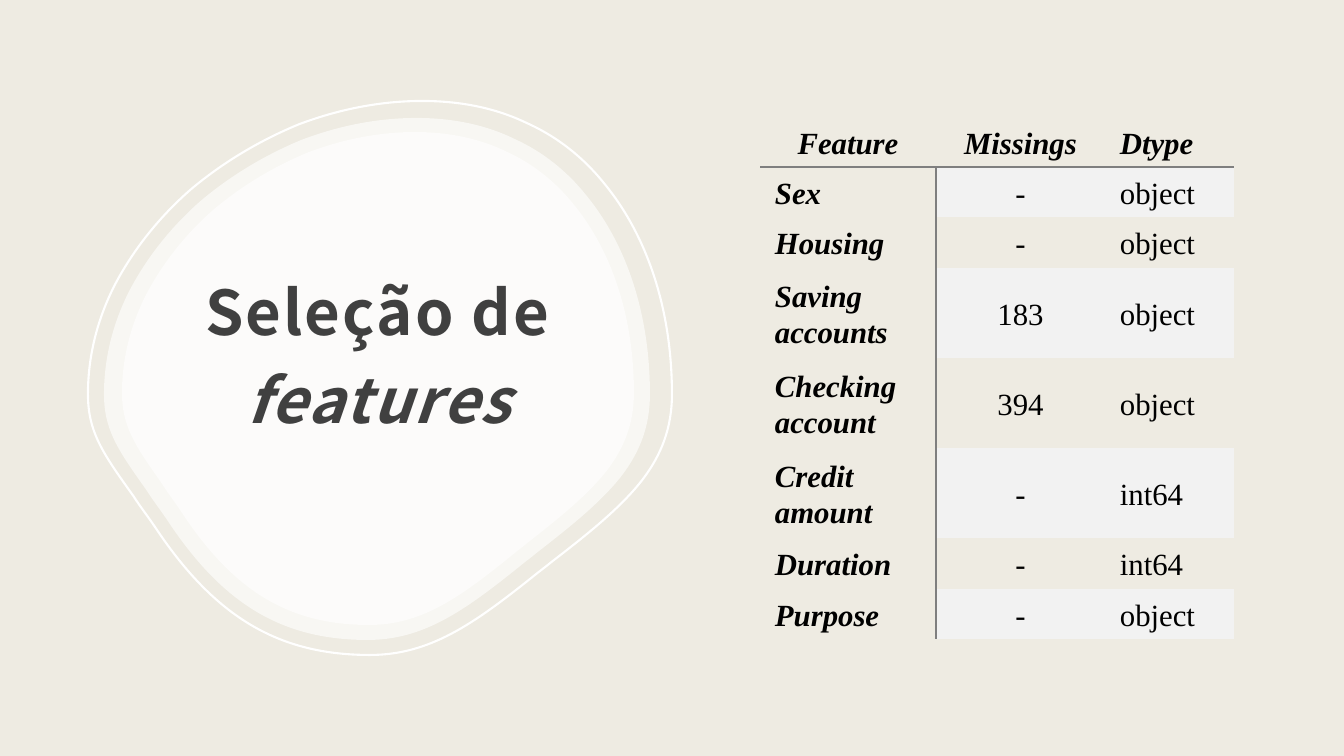
import lxml.etree
import pptx
import pptx.dml.color
import pptx.enum.shapes
import pptx.enum.text
import pptx.oxml
import pptx.oxml.ns
import pptx.util

RGB = pptx.dml.color.RGBColor
ALIGN = pptx.enum.text.PP_ALIGN
ANCHOR = pptx.enum.text.MSO_ANCHOR
qn = pptx.oxml.ns.qn

SAND = RGB(0xEE, 0xEB, 0xE2)
WHITE = RGB(0xFF, 0xFF, 0xFF)
CHARCOAL = RGB(0x40, 0x40, 0x40)
BLACK = RGB(0x00, 0x00, 0x00)
BAND = RGB(0xF2, 0xF2, 0xF2)
RULE = RGB(0x7F, 0x7F, 0x7F)

SLIDE_W, SLIDE_H = 1344, 756
EMU_PER_PX = 12192000 / SLIDE_W
PLAIN_TABLE_STYLE = "{2D5ABB26-0587-4C30-8999-92F81FD0307C}"

# Pebble outline on a 580 x 550 grid: a start, then Bezier curves
PEBBLE_W, PEBBLE_H = 580, 550
PEBBLE_START = (332, 0)
PEBBLE_CURVES = [
    ((370, 0), (405, 7), (436, 22)),
    ((465, 35), (491, 55), (512, 81)),
    ((556, 134), (580, 208), (580, 291)),
    ((580, 324), (570, 351), (550, 377)),
    ((528, 405), (495, 431), (460, 458)),
    ((454, 463), (447, 468), (441, 473)),
    ((382, 520), (339, 550), (280, 550)),
    ((190, 550), (127, 513), (68, 425)),
    ((60, 413), (52, 403), (45, 392)),
    ((15, 350), (0, 329), (0, 291)),
    ((0, 254), (9, 217), (27, 182)),
    ((45, 148), (70, 116), (102, 88)),
    ((134, 61), (171, 39), (210, 23)),
    ((250, 8), (291, 0), (332, 0)),
]

COLUMN_WIDTHS = [176, 169, 129]
ROW_HEIGHTS = [50, 50, 51, 90, 90, 90, 51, 50]
FEATURES = [
    ("Feature", "Missings", "Dtype"),
    ("Sex", "-", "object"),
    ("Housing", "-", "object"),
    ("Saving accounts", "183", "object"),
    ("Checking account", "394", "object"),
    ("Credit amount", "-", "int64"),
    ("Duration", "-", "int64"),
    ("Purpose", "-", "object"),
]


def px(length):
    return pptx.util.Emu(round(length * EMU_PER_PX))


def add_text(paragraph, text, *, size, font, color, bold=False, italic=False,
             align=ALIGN.LEFT, line_spacing=1.0, space_after=0, tracking=0):
    """Append a formatted run; tracking is in points."""
    paragraph.alignment = align
    paragraph.line_spacing = line_spacing
    paragraph.space_after = pptx.util.Pt(space_after)
    run = paragraph.add_run()
    run.text = text
    run.font.size = pptx.util.Pt(size)
    run.font.name = font
    run.font.color.rgb = color
    run.font.bold = bold
    run.font.italic = italic
    if tracking:
        run.font._element.set("spc", str(round(tracking * 100)))


def set_insets(target, left, top, right, bottom):
    target.margin_left, target.margin_top = px(left), px(top)
    target.margin_right, target.margin_bottom = px(right), px(bottom)


def add_backdrop(slide, width, height):
    backdrop = slide.shapes.add_shape(
        pptx.enum.shapes.MSO_SHAPE.RECTANGLE, 0, 0, px(width), px(height))
    backdrop.shadow.inherit = False
    backdrop.fill.solid()
    backdrop.fill.fore_color.rgb = SAND
    backdrop.line.fill.background()


def bend_segments(freeform):
    """Turn each straight segment of the pebble into its Bezier curve."""
    segments = list(freeform._element.iter(qn("a:lnTo")))
    for segment, (first, second, _) in zip(segments, PEBBLE_CURVES):
        segment.tag = qn("a:cubicBezTo")
        for position, (x, y) in enumerate((first, second)):
            control = lxml.etree.SubElement(segment, qn("a:pt"))
            control.set("x", str(x))
            control.set("y", str(y))
            segment.insert(position, control)


def add_pebble(slide, left, top, width, height, outlined=False):
    """Draw the pebble as a white outline or as a translucent white fill."""
    scale = (px(width) / PEBBLE_W, px(height) / PEBBLE_H)
    builder = slide.shapes.build_freeform(*PEBBLE_START, scale=scale)
    builder.add_line_segments([end for _, _, end in PEBBLE_CURVES], close=True)
    pebble = builder.convert_to_shape(px(left), px(top))
    bend_segments(pebble)
    pebble.shadow.inherit = False
    if outlined:
        pebble.fill.background()
        pebble.line.color.rgb = WHITE
        pebble.line.width = pptx.util.Pt(1.5)
    else:
        pebble.fill.solid()
        pebble.fill.fore_color.rgb = WHITE
        pebble.line.fill.background()
        white = pebble._element.spPr.find(qn("a:solidFill"))[0]
        lxml.etree.SubElement(white, qn("a:alpha")).set("val", "60000")


def add_title_panel(slide, left, top, width, height):
    add_pebble(slide, left + 16, top + 17, width - 38, height - 32)
    add_pebble(slide, left, top, width, height, outlined=True)
    add_pebble(slide, left + 34, top + 31, width - 72, height - 61)

    title = slide.shapes.add_textbox(
        px(left + 58), px(top + 85), px(465), px(260)).text_frame
    title.word_wrap = True
    title.vertical_anchor = ANCHOR.BOTTOM
    set_insets(title, 12, 12, 12, 10)
    for text, italic in (("Seleção de ", False), ("features", True)):
        add_text(title.paragraphs[0], text, size=44, font="Noto Sans CJK JP",
                 color=CHARCOAL, bold=True, italic=italic, align=ALIGN.CENTER,
                 line_spacing=1.2, tracking=1.5)


def add_borders(cell, ruled):
    """Rule the named sides (L, R, T, B) and clear the others."""
    properties = cell._tc.get_or_add_tcPr()
    for side in "LRTB":
        line = lxml.etree.SubElement(properties, qn(f"a:ln{side}"))
        if side in ruled:
            line.set("w", str(pptx.util.Pt(1)))
            fill = lxml.etree.SubElement(line, qn("a:solidFill"))
            lxml.etree.SubElement(fill, qn("a:srgbClr")).set("val", str(RULE))
        else:
            lxml.etree.SubElement(line, qn("a:noFill"))


def cell_borders(row, column):
    if row == 0:
        return "B"
    return ("R", "L", "")[column] + ("T" if row == 1 else "")


def add_feature_table(slide, left, top):
    table = slide.shapes.add_table(
        len(FEATURES), len(COLUMN_WIDTHS), px(left), px(top),
        px(sum(COLUMN_WIDTHS)), px(sum(ROW_HEIGHTS))).table
    table.first_row = table.horz_banding = False
    table._tbl.tblPr.find(qn("a:tableStyleId")).text = PLAIN_TABLE_STYLE
    for column, width in zip(table.columns, COLUMN_WIDTHS):
        column.width = px(width)

    for r, (values, height) in enumerate(zip(FEATURES, ROW_HEIGHTS)):
        table.rows[r].height = px(height)
        for c, value in enumerate(values):
            cell = table.cell(r, c)
            heading = r == 0 or c == 0
            centred = c == 1 or (r == 0 and c == 0)
            cell.vertical_anchor = ANCHOR.MIDDLE
            set_insets(cell, 15, 2, 15, 0)
            add_borders(cell, cell_borders(r, c))
            if r % 2 and c:
                cell.fill.solid()
                cell.fill.fore_color.rgb = BAND
            else:
                cell.fill.background()
            add_text(cell.text_frame.paragraphs[0], value, size=22,
                     font="Times New Roman", color=BLACK, bold=heading,
                     italic=heading, line_spacing=1.07, space_after=8,
                     align=ALIGN.CENTER if centred else ALIGN.LEFT)


def main():
    deck = pptx.Presentation()
    deck.slide_width, deck.slide_height = px(SLIDE_W), px(SLIDE_H)
    slide = deck.slides.add_slide(deck.slide_layouts[6])
    slide.background.fill.solid()
    slide.background.fill.fore_color.rgb = SAND
    add_backdrop(slide, SLIDE_W, SLIDE_H)
    add_title_panel(slide, 88, 101, 584, 554)
    add_feature_table(slide, 760, 117)
    deck.save("out.pptx")


if __name__ == "__main__":
    main()
